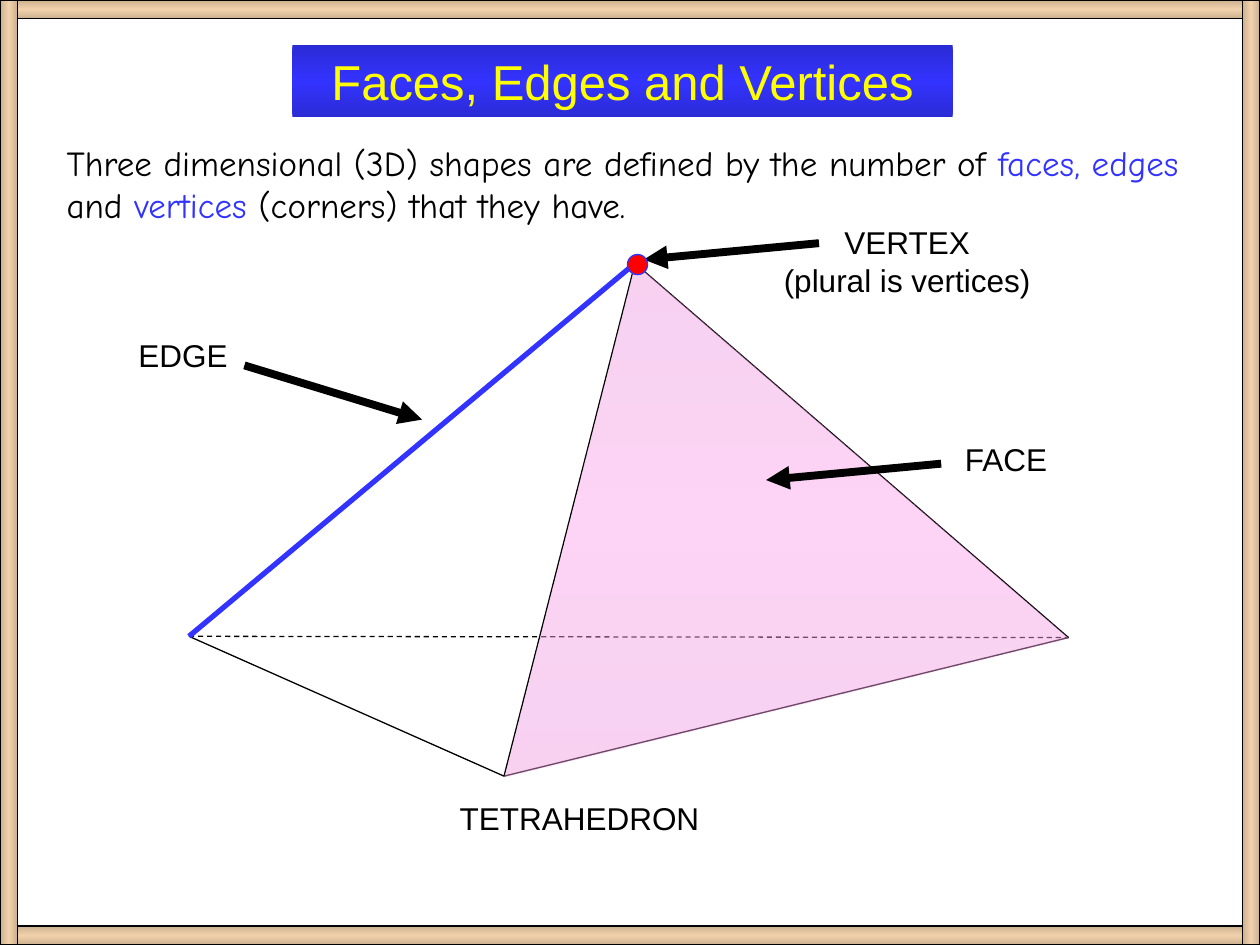
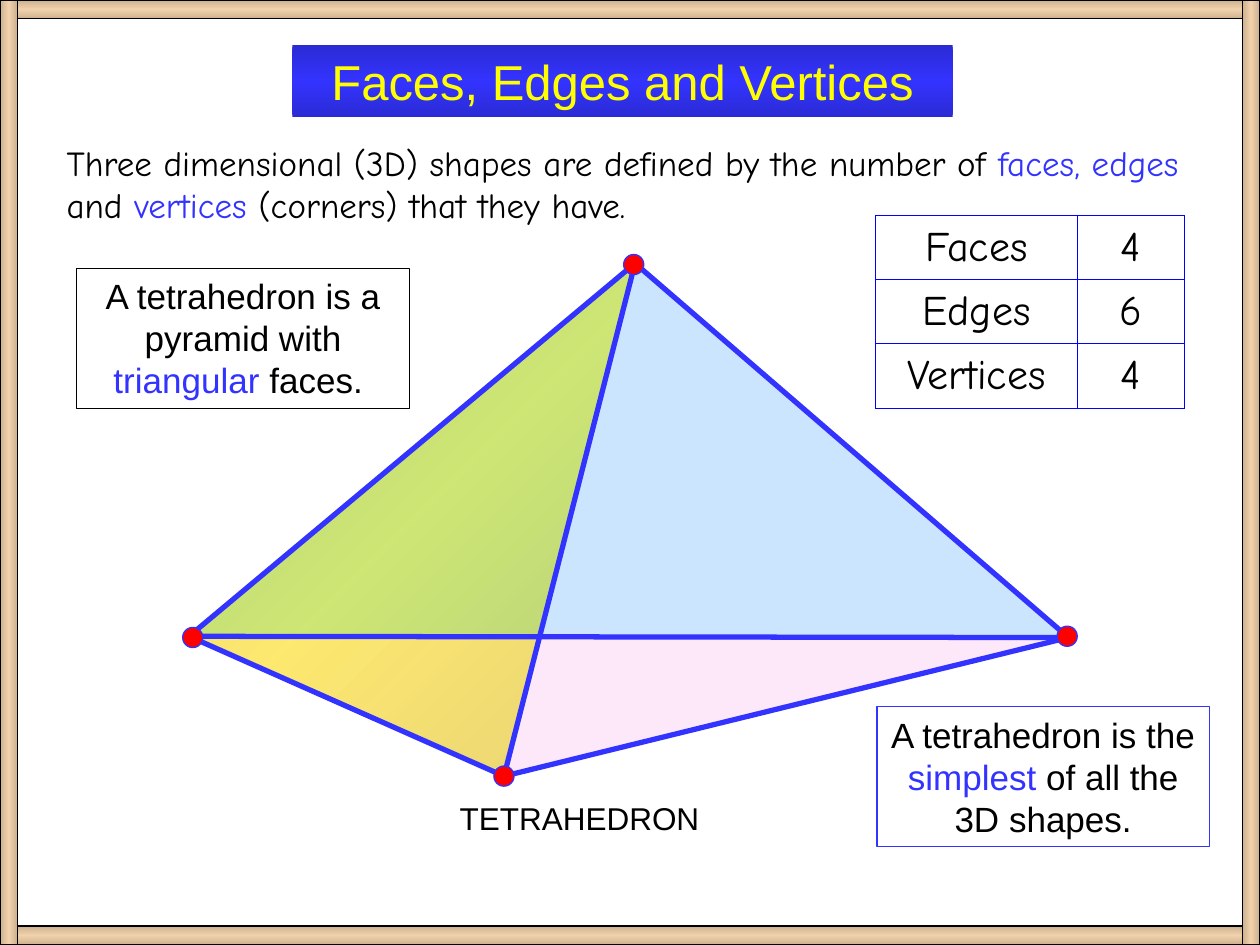
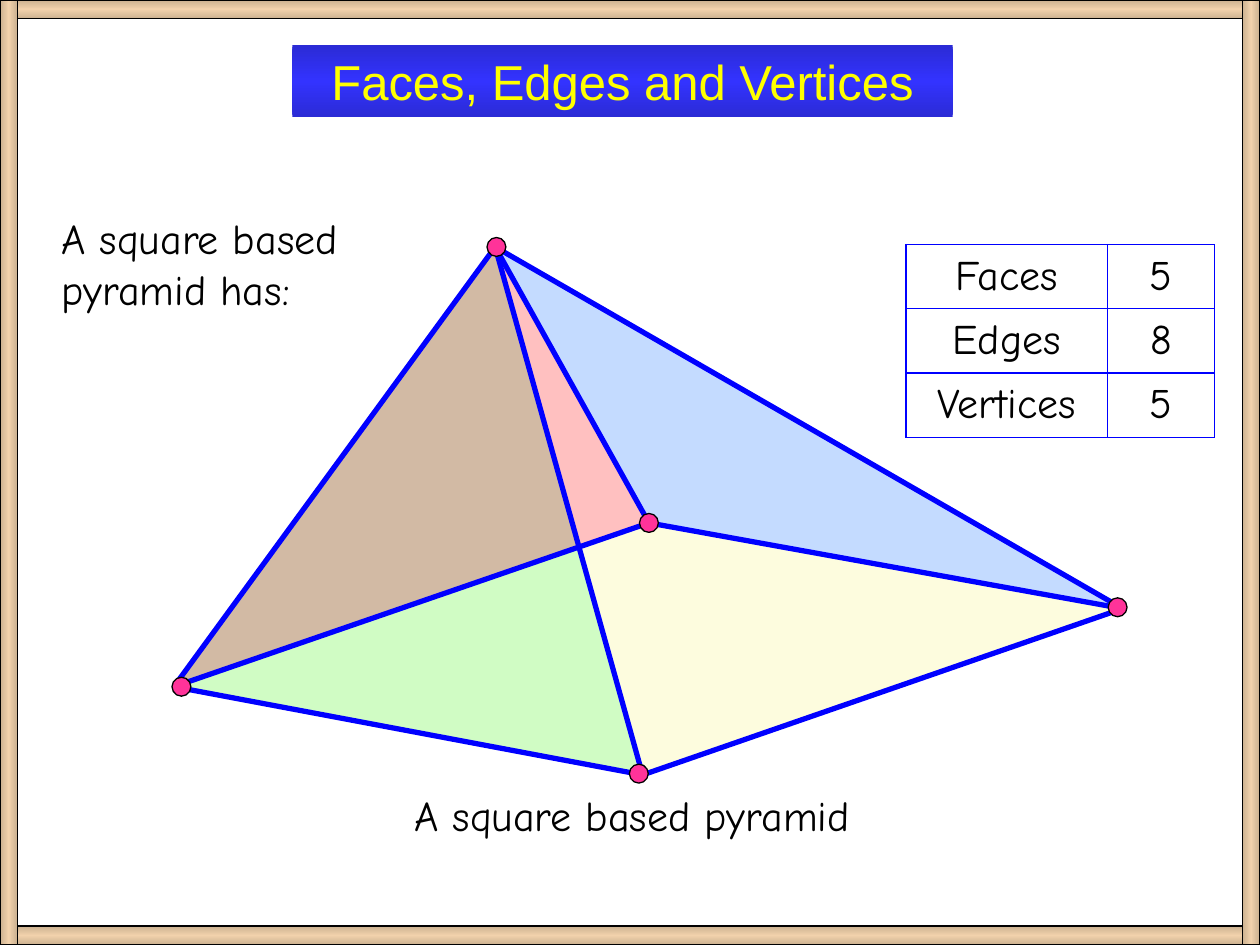
from dataclasses import dataclass
from typing import NamedTuple

from lxml import etree
from pptx import Presentation
from pptx.dml.color import RGBColor
from pptx.enum.dml import MSO_LINE
from pptx.enum.shapes import MSO_CONNECTOR, MSO_SHAPE
from pptx.enum.text import MSO_ANCHOR, MSO_AUTO_SIZE, PP_ALIGN
from pptx.oxml.ns import qn
from pptx.util import Inches, Pt

RECTANGLE = MSO_SHAPE.RECTANGLE
OVAL = MSO_SHAPE.OVAL
STRAIGHT = MSO_CONNECTOR.STRAIGHT
DASH = MSO_LINE.DASH
LEFT, CENTER = PP_ALIGN.LEFT, PP_ALIGN.CENTER
TOP, MIDDLE = MSO_ANCHOR.TOP, MSO_ANCHOR.MIDDLE
NO_RESIZE = MSO_AUTO_SIZE.NONE

# Colours and fonts
BLACK = RGBColor(0x00, 0x00, 0x00)
WHITE = RGBColor(0xFF, 0xFF, 0xFF)
YELLOW = RGBColor(0xFF, 0xFF, 0x00)
OLIVE = RGBColor(0xD6, 0xD6, 0x00)
KEY_BLUE = RGBColor(0x33, 0x33, 0xFF)
BANNER_EDGE = RGBColor(0x2B, 0x2B, 0xD5)
PURE_BLUE = RGBColor(0x00, 0x00, 0xFF)
SKY = RGBColor(0x33, 0x99, 0xFF)
AZURE = RGBColor(0x00, 0x66, 0xFF)
RED = RGBColor(0xFF, 0x00, 0x00)
HOT_PINK = RGBColor(0xFF, 0x33, 0x99)
PINK = RGBColor(0xFB, 0xA3, 0xEC)
PINK_EDGE = RGBColor(0xEF, 0x9B, 0xE0)
LEMON = RGBColor(0xFA, 0xF7, 0x72)
MINT = RGBColor(0x99, 0xFF, 0xCC)
WOOD = RGBColor(0xF2, 0xD2, 0xAC)
WOOD_EDGE = RGBColor(0xCA, 0xB0, 0x90)
SANS = "Arial"
COMIC = "Comic Neue"

SLIDE_W, SLIDE_H = 10, 7.5
THIN, THICK, ARROW = 0.75, 3, 4.5


class Point(NamedTuple):
    x: float
    y: float


class Box(NamedTuple):
    left: float
    top: float
    width: float
    height: float


class Run(NamedTuple):
    text: str
    color: RGBColor = BLACK


class Stop(NamedTuple):
    position: int
    color: RGBColor
    opacity: int = 100


@dataclass(frozen=True)
class Gradient:
    stops: tuple[Stop, ...]
    angle: int = 90


@dataclass(frozen=True)
class Face:
    corners: str
    fill: Stop | Gradient


@dataclass(frozen=True)
class Solid:
    """Corner points by letter, edges as letter pairs, and vertex dots."""
    points: dict[str, Point]
    edges: tuple[str, ...]
    edge_color: RGBColor
    dots: tuple[Point, ...]
    dot_size: float
    dot_fill: RGBColor
    dot_line: RGBColor


def mirrored(edge: RGBColor, middle: RGBColor, angle: int = 90,
             edge_opacity: int = 100, middle_opacity: int = 100) -> Gradient:
    return Gradient((Stop(0, edge, edge_opacity), Stop(50, middle, middle_opacity),
                     Stop(100, edge, edge_opacity)), angle)


# Tetrahedron: A apex, L left, F front, R right
TETRA_POINTS = {"A": Point(5.04, 2.09), "L": Point(1.5, 5.05),
                "F": Point(4, 6.16), "R": Point(8.48, 5.06)}
TETRAHEDRON = Solid(
    TETRA_POINTS, ("RA", "AL", "AF", "LF", "RF", "LR"), KEY_BLUE,
    (Point(5.03, 2.1), Point(1.53, 5.06), Point(8.47, 5.05), Point(4, 6.16)),
    0.16, RED, KEY_BLUE)

# Square based pyramid: A apex, B back, L left, F front, R right
SQUARE_PYRAMID = Solid(
    {"A": Point(3.93, 1.96), "B": Point(5.15, 4.15), "L": Point(1.38, 5.45),
     "F": Point(5.1, 6.15), "R": Point(8.91, 4.83)},
    ("AB", "BL", "BR", "AL", "AR", "AF", "LF", "FR"), PURE_BLUE,
    (Point(3.94, 1.96), Point(5.15, 4.15), Point(1.44, 5.45),
     Point(5.07, 6.14), Point(8.87, 4.82)),
    0.15, HOT_PINK, BLACK)

TITLE = "Faces, Edges and Vertices"
TITLE_BOX = Box(2.32, 0.36, 5.24, 0.57)
TITLE_FILL = mirrored(BANNER_EDGE, KEY_BLUE)
FRAME = (
    (Box(0, 0, SLIDE_W, 0.15), 90),
    (Box(0, SLIDE_H - 0.15, SLIDE_W, 0.15), 90),
    (Box(0, 0, 0.14, SLIDE_H), 0),
    (Box(SLIDE_W - 0.14, 0, 0.14, SLIDE_H), 0),
)
DEFINITION = (
    Run("Three dimensional (3D) shapes are defined by the number of "),
    Run("faces, edges", KEY_BLUE), Run(" and "), Run("vertices", KEY_BLUE),
    Run(" (corners) that they have."),
)


# Fills, outlines and text
def add_color(parent, stop: Stop) -> None:
    color = etree.SubElement(parent, qn("a:srgbClr"), val=str(stop.color))
    if stop.opacity < 100:
        etree.SubElement(color, qn("a:alpha"), val=str(stop.opacity * 1000))


def set_fill(shape, fill: Stop | Gradient) -> None:
    properties = shape.element.spPr
    if isinstance(fill, Stop):
        shape.fill.solid()
        add_color(properties.find(qn("a:solidFill")), fill)
        return
    shape.fill.gradient()
    gradient = properties.find(qn("a:gradFill"))
    stop_list = gradient.find(qn("a:gsLst"))
    for default_stop in list(stop_list):
        stop_list.remove(default_stop)
    for stop in fill.stops:
        add_color(etree.SubElement(stop_list, qn("a:gs"), pos=str(stop.position * 1000)), stop)
    gradient.find(qn("a:lin")).set("ang", str(fill.angle * 60000))


def set_outline(shape, color: RGBColor | None) -> None:
    if color is None:
        shape.line.fill.background()
    else:
        shape.line.color.rgb = color
        shape.line.width = Pt(THIN)


def style_paragraph(paragraph, font: str, size: float, align=LEFT,
                    color: RGBColor = BLACK) -> None:
    paragraph.alignment = align
    paragraph.font.name = font
    paragraph.font.size = Pt(size)
    paragraph.font.color.rgb = color


def add_text(slide, box: Box, lines: tuple[tuple[Run, ...], ...], font: str, size: float,
             align=LEFT, outline: RGBColor | None = None) -> None:
    text_box = slide.shapes.add_textbox(*map(Inches, box))
    set_outline(text_box, outline)
    frame = text_box.text_frame
    frame.word_wrap = True
    for index, line in enumerate(lines):
        paragraph = frame.add_paragraph() if index else frame.paragraphs[0]
        style_paragraph(paragraph, font, size, align)
        for part in line:
            run = paragraph.add_run()
            run.text = part.text
            if part.color != BLACK:
                run.font.color.rgb = part.color


def add_label(slide, box: Box, *lines: str, align=LEFT) -> None:
    add_text(slide, box, tuple((Run(line),) for line in lines), SANS, 18, align)


# Geometry
def add_preset(slide, kind, box: Box, fill: Stop | Gradient, outline: RGBColor) -> None:
    shape = slide.shapes.add_shape(kind, *map(Inches, box))
    shape.shadow.inherit = False
    set_fill(shape, fill)
    set_outline(shape, outline)


def add_line(slide, start: Point, end: Point, color: RGBColor = BLACK,
             width: float = THIN, dash=None, arrow: bool = False) -> None:
    line = slide.shapes.add_connector(STRAIGHT, *map(Inches, (*start, *end)))
    line.line.color.rgb = color
    line.line.width = Pt(width)
    if dash is not None:
        line.line.dash_style = dash
    properties = line.element.spPr
    if arrow:
        etree.SubElement(properties.find(qn("a:ln")), qn("a:tailEnd"), type="triangle")
    etree.SubElement(properties, qn("a:effectLst"))


def add_pointer(slide, start: Point, end: Point) -> None:
    add_line(slide, start, end, width=ARROW, arrow=True)


def add_face(slide, solid: Solid, face: Face) -> None:
    first, *others = [tuple(map(Inches, solid.points[letter])) for letter in face.corners]
    builder = slide.shapes.build_freeform(*first)
    builder.add_line_segments(others, close=True)
    shape = builder.convert_to_shape()
    shape.shadow.inherit = False
    set_fill(shape, face.fill)
    set_outline(shape, None)


def add_edge(slide, solid: Solid, edge: str) -> None:
    start, end = edge
    add_line(slide, solid.points[start], solid.points[end], solid.edge_color, THICK)


def add_dot(slide, solid: Solid, center: Point) -> None:
    size = solid.dot_size
    box = Box(center.x - size / 2, center.y - size / 2, size, size)
    add_preset(slide, OVAL, box, Stop(0, solid.dot_fill), solid.dot_line)


def add_solid(slide, solid: Solid, faces: tuple[Face, ...]) -> None:
    for face in faces:
        add_face(slide, solid, face)
    for edge in solid.edges:
        add_edge(slide, solid, edge)
    for center in solid.dots:
        add_dot(slide, solid, center)


# Table of counts
def border_cell(cell, color: RGBColor) -> None:
    properties = cell._tc.get_or_add_tcPr()
    for index, side in enumerate(("a:lnL", "a:lnR", "a:lnT", "a:lnB")):
        border = etree.Element(qn(side), w=str(Pt(THIN)))
        add_color(etree.SubElement(border, qn("a:solidFill")), Stop(0, color))
        properties.insert(index, border)


def add_counts(slide, left: float, top: float, faces: int, edges: int, vertices: int) -> None:
    rows = (("Faces", faces), ("Edges", edges), ("Vertices", vertices))
    widths, row_height = (1.6, 0.85), 0.51
    box = Box(left, top, sum(widths), row_height * len(rows))
    table = slide.shapes.add_table(len(rows), len(widths), *map(Inches, box)).table
    table.first_row = table.horz_banding = False
    for column, width in zip(table.columns, widths):
        column.width = Inches(width)
    for row, values in zip(table.rows, rows):
        row.height = Inches(row_height)
        for cell, value in zip(row.cells, values):
            cell.text = str(value)
            cell.vertical_anchor = MIDDLE
            cell.fill.background()
            border_cell(cell, PURE_BLUE)
            style_paragraph(cell.text_frame.paragraphs[0], COMIC, 24, CENTER)


# Shared slide parts
def new_slide(deck):
    slide = deck.slides.add_slide(deck.slide_layouts[5])
    title = slide.shapes.title
    title.left, title.top, title.width, title.height = map(Inches, TITLE_BOX)
    set_fill(title, TITLE_FILL)
    title.text_frame.text = TITLE
    title.text_frame.auto_size = NO_RESIZE
    title.text_frame.vertical_anchor = TOP
    style_paragraph(title.text_frame.paragraphs[0], SANS, 28, CENTER, YELLOW)
    for box, angle in FRAME:
        add_preset(slide, RECTANGLE, box, mirrored(WOOD_EDGE, WOOD, angle), BLACK)
    return slide


def add_tetrahedron_text(slide) -> None:
    add_text(slide, Box(0.43, 1.07, 9.37, 0.77), (DEFINITION,), COMIC, 20)
    add_label(slide, Box(3.55, 6.29, 2.55, 0.4), "TETRAHEDRON")


# Slides
def build_terms(deck) -> None:
    slide = new_slide(deck)
    add_tetrahedron_text(slide)
    for start, end in TETRAHEDRON.edges:
        add_line(slide, TETRA_POINTS[start], TETRA_POINTS[end],
                 dash=DASH if start + end == "LR" else None)
    add_face(slide, TETRAHEDRON, Face("FAR", mirrored(PINK_EDGE, PINK, 90, 46, 46)))

    add_pointer(slide, Point(6.5, 1.93), Point(5.11, 2.06))
    add_label(slide, Box(6.1, 1.72, 2.2, 0.7), "VERTEX", "(plural is vertices)", align=CENTER)
    add_pointer(slide, Point(1.94, 2.9), Point(3.35, 3.33))
    add_label(slide, Box(1, 2.62, 1.31, 0.4), "EDGE")
    add_pointer(slide, Point(7.47, 3.68), Point(6.08, 3.81))
    add_label(slide, Box(7.56, 3.44, 1.31, 0.4), "FACE")

    add_edge(slide, TETRAHEDRON, "AL")
    add_dot(slide, TETRAHEDRON, Point(5.06, 2.1))


def build_tetrahedron(deck) -> None:
    slide = new_slide(deck)
    add_tetrahedron_text(slide)
    add_solid(slide, TETRAHEDRON, (
        Face("LFR", Stop(0, PINK, 52)),
        Face("ALR", Stop(0, SKY, 52)),
        Face("ALF", mirrored(OLIVE, YELLOW, 45, 51, 54)),
        Face("AFR", Stop(0, WHITE, 52)),
    ))
    add_text(slide, Box(0.61, 2.13, 2.64, 1.11),
             ((Run("A tetrahedron is a pyramid with "), Run("triangular ", KEY_BLUE),
               Run("faces. ")),), SANS, 20, CENTER, BLACK)
    add_text(slide, Box(6.96, 5.61, 2.64, 1.11),
             ((Run("A tetrahedron is the "), Run("simplest", KEY_BLUE),
               Run(" of all the 3D shapes.")),), SANS, 20, CENTER, KEY_BLUE)
    add_counts(slide, 6.95, 1.71, faces=4, edges=6, vertices=4)


def build_square_pyramid(deck) -> None:
    slide = new_slide(deck)
    add_solid(slide, SQUARE_PYRAMID, (
        Face("ALB", Stop(0, RED, 48)),
        Face("ABR", Stop(0, AZURE, 45)),
        Face("LBRF", Stop(0, LEMON, 45)),
        Face("ALF", Stop(0, MINT, 44)),
        Face("ARF", Stop(0, WHITE, 49)),
    ))
    add_text(slide, Box(0.39, 1.64, 2.8, 0.9),
             ((Run("A square based pyramid has:"),),), COMIC, 24)
    add_text(slide, Box(3.19, 6.22, 4.08, 0.5),
             ((Run("A square based pyramid"),),), COMIC, 24)
    add_counts(slide, 7.19, 1.94, faces=5, edges=8, vertices=5)


def main() -> None:
    deck = Presentation()
    deck.slide_width, deck.slide_height = Inches(SLIDE_W), Inches(SLIDE_H)
    build_terms(deck)
    build_tetrahedron(deck)
    build_square_pyramid(deck)
    deck.save("out.pptx")


if __name__ == "__main__":
    main()
